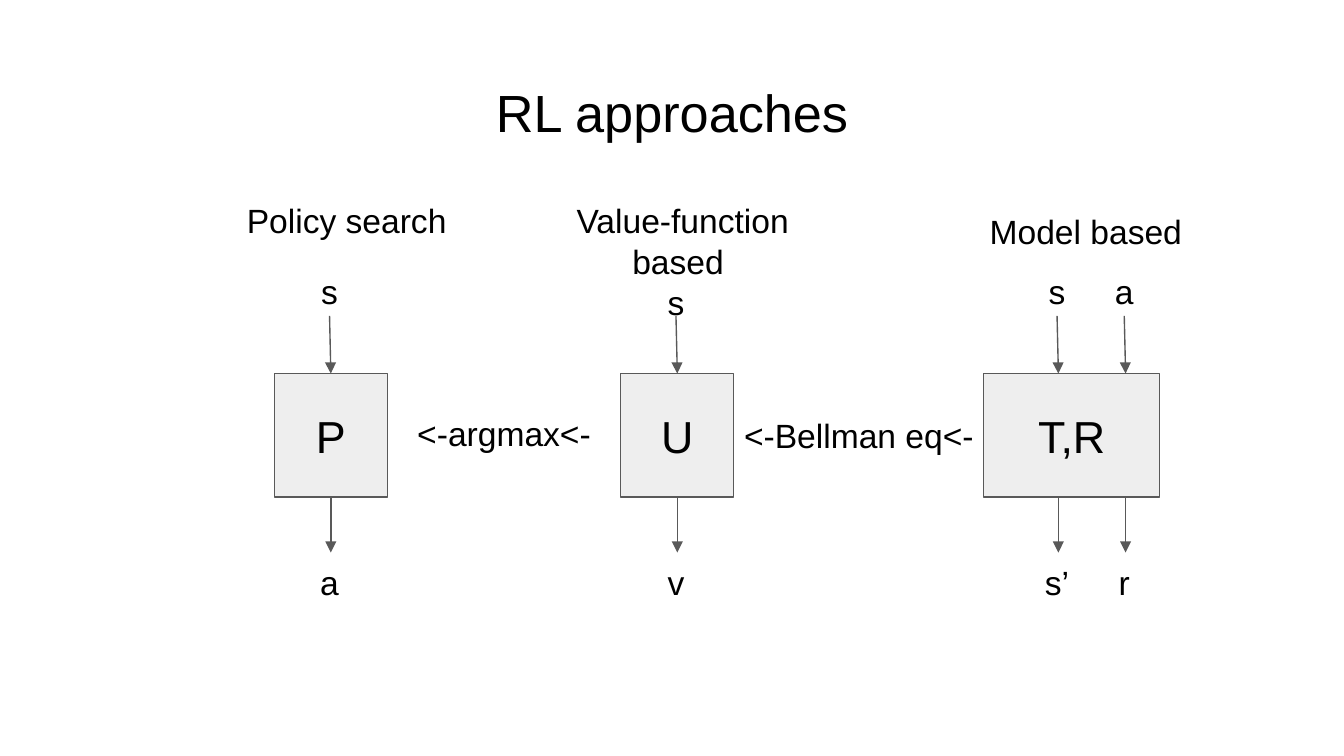
from lxml.etree import SubElement
from pptx import Presentation
from pptx.dml.color import RGBColor
from pptx.enum.shapes import MSO_CONNECTOR as Connector, MSO_SHAPE as Shape
from pptx.enum.text import MSO_ANCHOR as Anchor, MSO_AUTO_SIZE as AutoSize, PP_ALIGN as Align
from pptx.oxml.ns import qn
from pptx.util import Pt

BLACK = RGBColor(0x00, 0x00, 0x00)
GRAY = RGBColor(0x59, 0x59, 0x59)
LIGHT = RGBColor(0xEE, 0xEE, 0xEE)

BOX_TOP, BOX_HEIGHT = 200.1, 66.2
BOX_BOTTOM = BOX_TOP + BOX_HEIGHT
INPUT_TOP, OUTPUT_BOTTOM = 169.2, 296
OUTPUT_LABEL_TOP = 293.8
SYMBOL_WIDTH, SYMBOL_HEIGHT = 46, 31
CAPTION_HEIGHT = 37.4
TOP_SITE, BOTTOM_SITE = 0, 2

FRAME_FORMAT = {
    "word_wrap": True,
    "auto_size": AutoSize.NONE,
    "margin_left": Pt(7.2),
    "margin_top": Pt(7.2),
    "margin_right": Pt(7.2),
    "margin_bottom": Pt(7.2),
}


def apply_format(target, values):
    for name, value in values.items():
        setattr(target, name, value)


def write(holder, text, size, anchor=Anchor.TOP):
    frame = holder.text_frame
    apply_format(frame, FRAME_FORMAT | {"vertical_anchor": anchor})
    paragraph = frame.paragraphs[0]
    paragraph.alignment = Align.CENTER
    run = paragraph.add_run()
    run.text = text
    apply_format(run.font, {"size": Pt(size), "name": "Arial"})
    run.font.color.rgb = BLACK


def add_title(slide, text):
    title = slide.shapes.title
    apply_format(title, {"left": Pt(24.5), "top": Pt(36), "width": Pt(671), "height": Pt(45)})
    write(title, text, 28)


def add_label(slide, text, left, top, width, height=CAPTION_HEIGHT):
    label = slide.shapes.add_textbox(Pt(left), Pt(top), Pt(width), Pt(height))
    write(label, text, 18)


def add_symbol(slide, text, center, top):
    add_label(slide, text, center - SYMBOL_WIDTH / 2, top, SYMBOL_WIDTH, SYMBOL_HEIGHT)


def add_box(slide, text, left, width):
    box = slide.shapes.add_shape(
        Shape.RECTANGLE, Pt(left), Pt(BOX_TOP), Pt(width), Pt(BOX_HEIGHT))
    box.shadow.inherit = False
    box.fill.solid()
    box.fill.fore_color.rgb = LIGHT
    box.line.color.rgb = GRAY
    box.line.width = Pt(0.75)
    write(box, text, 24, Anchor.MIDDLE)
    return box


def add_arrow(slide, start_x, start_y, end_x, end_y):
    arrow = slide.shapes.add_connector(
        Connector.STRAIGHT, Pt(start_x), Pt(start_y), Pt(end_x), Pt(end_y))
    arrow.line.color.rgb = GRAY
    arrow.line.width = Pt(0.75)
    SubElement(arrow.line._get_or_add_ln(), qn("a:tailEnd"), type="triangle")
    SubElement(arrow._element.spPr, qn("a:effectLst"))
    return arrow


def add_flow(slide, center, source, source_top, result):
    into = add_arrow(slide, center - 0.7, INPUT_TOP, center, BOX_TOP)
    out = add_arrow(slide, center, BOX_BOTTOM, center, OUTPUT_BOTTOM)
    add_symbol(slide, source, center - 0.7, source_top)
    add_symbol(slide, result, center - 0.7, OUTPUT_LABEL_TOP)
    return into, out


def add_single_flow_box(slide, name, left, source, source_top, result):
    width = 60.5
    box = add_box(slide, name, left, width)
    into, out = add_flow(slide, left + width / 2, source, source_top, result)
    into.end_connect(box, TOP_SITE)
    out.begin_connect(box, BOTTOM_SITE)


def main():
    deck = Presentation()
    deck.slide_width, deck.slide_height = Pt(720), Pt(405)
    slide = deck.slides.add_slide(deck.slide_layouts[5])
    add_title(slide, "RL approaches")

    add_single_flow_box(slide, "P", 147, "s", 138.2, "a")
    add_single_flow_box(slide, "U", 332.6, "s", 144, "v")
    add_box(slide, "T,R", 527, 94.3)
    for center, source, result in ((567, "s", "s’"), (603, "a", "r")):
        add_flow(slide, center, source, 138.2, result)

    for text, left, top, width in (
        ("Policy search", 115.9, 100.1, 139.7),
        ("Value-function based ", 295.9, 100.1, 139.7),
        ("Model based", 511.9, 105.8, 139.7),
        ("<-argmax<-", 209.5, 213.8, 121),
        ("<-Bellman eq<-", 385.2, 215.3, 149.8),
    ):
        add_label(slide, text, left, top, width)

    deck.save("out.pptx")


if __name__ == "__main__":
    main()
